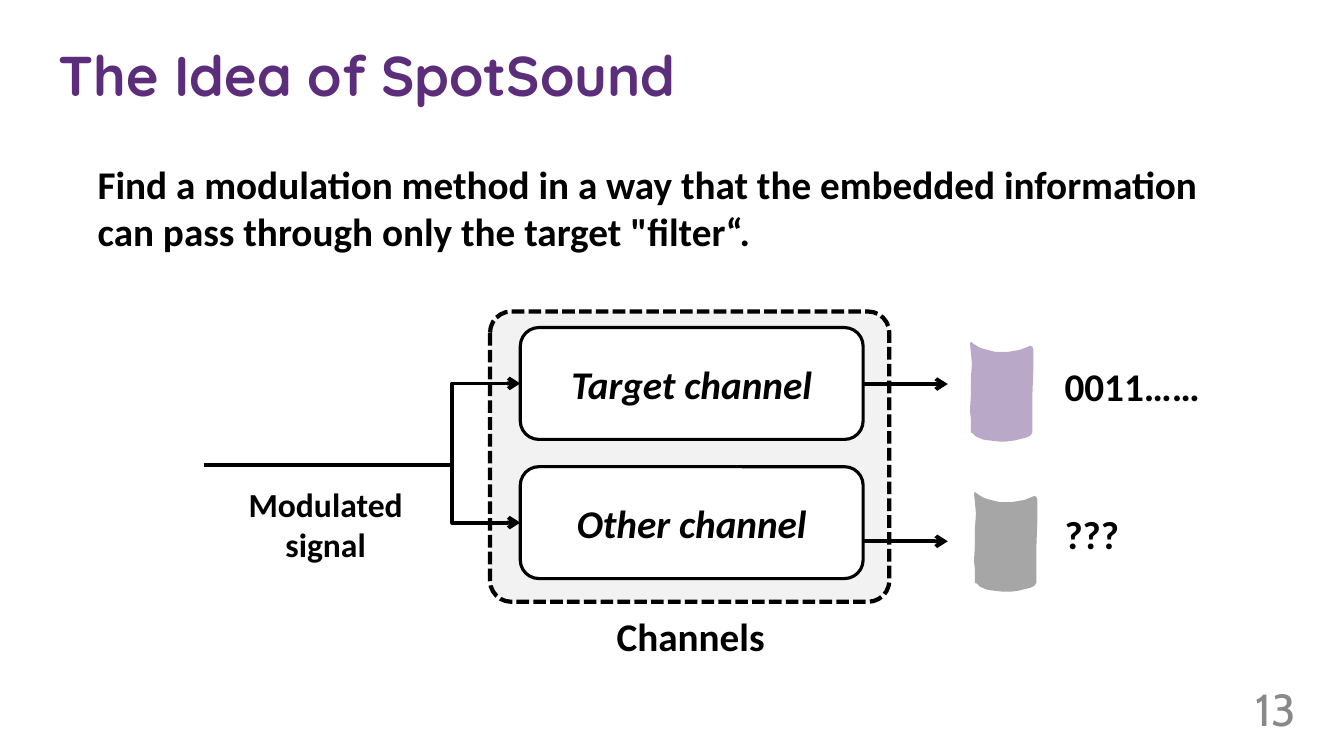
from pptx import Presentation
from pptx import util as u
from pptx.dml.color import RGBColor
from pptx.enum import dml, shapes, text
from pptx.oxml import ns
from lxml import etree

BLACK = RGBColor(0, 0, 0)
WHITE = RGBColor(255, 255, 255)
PURPLE = RGBColor(0x5B, 0x2D, 0x7B)
LILAC = RGBColor(0xBA, 0xA8, 0xC8)
PALE = RGBColor(0xF2, 0xF2, 0xF2)
GRAY = RGBColor(0xA6, 0xA6, 0xA6)
DIM = RGBColor(0x89, 0x89, 0x89)

LEFT, MID = text.PP_ALIGN.LEFT, text.PP_ALIGN.CENTER
BOLD = {"name": "Calibri", "size": u.Pt(28), "bold": True}
ITALIC = {**BOLD, "italic": True}
SMALL = {**BOLD, "size": u.Pt(24)}
HEAD = {"name": "Quicksand", "size": u.Pt(40), "bold": True}
NUMBER = {"name": "Cabin", "size": u.Pt(32)}

# Places are percentages of the slide's width and height.
TITLE = ("The Idea of SpotSound", (3.6, 4.67, 53.34, 10.27))
PAGE = ("13", (93.1, 93.33, 5.18, 4.27))
LABELS = [
    ("Find a modulation method in a way that the embedded information "
     "can pass through only the target \"filter“.",
     (6.53, 20.53, 85.9, 13.87), BOLD, LEFT, True),
    ("0011……", (78.47, 47.33, 11.7, 7.6), BOLD, LEFT, False),
    ("???", (78.47, 66.8, 5.63, 7.6), BOLD, LEFT, False),
    ("Modulated signal", (16.88, 63.33, 14.7, 12.13), SMALL, MID, True),
    ("Channels", (36.61, 80.4, 29.56, 7.6), BOLD, MID, True),
]
FRAME = (36.46, 41.2, 29.71, 38.4)
CHANNELS = [("Target channel", 50.8), ("Other channel", 71.6)]
BOX = (38.71, 43.33, 25.51, 14.8)
PITCH = 18.4
SOURCE = (15.15, 61.47)
BEND = 78500
TIP = 70.52
CUPS = [(72.17, 45.2, LILAC), (72.47, 65.07, GRAY)]
CUP = [(1, 0), (5, 3), (10, 6), (17, 8.5), (25, 9.5), (38, 9.5), (50, 8),
       (55, 6), (60, 4), (62, 5), (63, 8), (63, 25), (62.5, 53), (62.5, 70),
       (62.5, 84), (62, 90), (60, 93), (56, 95), (44, 98), (36, 99),
       (29, 99), (20, 98), (13, 97), (6, 94), (3, 91), (1, 90), (1, 87),
       (1, 76), (0.5, 69), (1, 52), (1, 36), (1.5, 22), (1, 10), (0, 2)]

deck = Presentation()
deck.slide_width, deck.slide_height = u.Inches(13.33), u.Inches(7.5)
slide = deck.slides.add_slide(deck.slide_layouts[5])
parts = slide.shapes


def place(spot):
    sides = (deck.slide_width, deck.slide_height) * 2
    return [round(side * share / 100) for side, share in zip(sides, spot)]


def write(shape, words, style, tint=BLACK, align=LEFT, wrap=True,
          anchor=text.MSO_ANCHOR.TOP):
    frame = shape.text_frame
    frame.text = words
    frame.word_wrap = wrap
    frame.auto_size = text.MSO_AUTO_SIZE.NONE
    frame.vertical_anchor = anchor
    para = frame.paragraphs[0]
    para.alignment = align
    font = para.runs[0].font
    for key, value in style.items():
        setattr(font, key, value)
    font.color.rgb = tint
    return frame


def panel(spot, tint, width):
    shape = parts.add_shape(shapes.MSO_SHAPE.ROUNDED_RECTANGLE, *place(spot))
    shape.shadow.inherit = False
    shape.fill.solid()
    shape.fill.fore_color.rgb = tint
    shape.line.color.rgb = BLACK
    shape.line.width = u.Pt(width)
    return shape


def arrow(kind, start, end):
    wire = parts.add_connector(kind, *place(start), *place(end))
    wire.line.color.rgb = BLACK
    wire.line.width = u.Pt(2.75)
    etree.SubElement(wire.line._ln, ns.qn("a:tailEnd"), type="arrow")
    props = wire._element.spPr
    etree.SubElement(props, ns.qn("a:effectLst"))
    if kind == shapes.MSO_CONNECTOR.ELBOW:
        bends = props.find(ns.qn("a:prstGeom")).get_or_add_avLst()
        etree.SubElement(bends, ns.qn("a:gd"), name="adj1",
                         fmla=f"val {BEND}")


def cup(left, top, tint):
    x, y = place((left, top))
    first, *rest = CUP
    path = parts.build_freeform(*first, scale=u.Inches(0.01))
    path.add_line_segments(rest, close=True)
    shape = path.convert_to_shape(x, y)
    shape.left, shape.top = x, y
    shape.shadow.inherit = False
    shape.fill.solid()
    shape.fill.fore_color.rgb = tint
    shape.line.fill.background()


title = parts.title
title.left, title.top, title.width, title.height = place(TITLE[1])
write(title, TITLE[0], HEAD, PURPLE)

page = parts.add_textbox(*place(PAGE[1]))
frame = write(page, PAGE[0], NUMBER, DIM)
for side in ("left", "top", "right", "bottom"):
    setattr(frame, f"margin_{side}", 0)
para = frame.paragraphs[0]
para.line_spacing = u.Pt(21.2)
para._p.get_or_add_pPr().set("marL", str(u.Inches(0.04)))

for spot in CUPS:
    cup(*spot)

for words, spot, style, align, wrap in LABELS:
    write(parts.add_textbox(*place(spot)), words, style, align=align, wrap=wrap)

group = panel(FRAME, PALE, 3)
group.adjustments[0] = 0.073
group.line.dash_style = dml.MSO_LINE.SQUARE_DOT

left, top, width, height = BOX
for row, (words, exit_y) in enumerate(CHANNELS):
    y = top + row * PITCH
    box = panel((left, y, width, height), WHITE, 2.25)
    write(box, words, ITALIC, align=MID, anchor=text.MSO_ANCHOR.MIDDLE)
    arrow(shapes.MSO_CONNECTOR.ELBOW, SOURCE, (left, y + height / 2))
    arrow(shapes.MSO_CONNECTOR.STRAIGHT, (left + width, exit_y), (TIP, exit_y))

deck.save("out.pptx")
